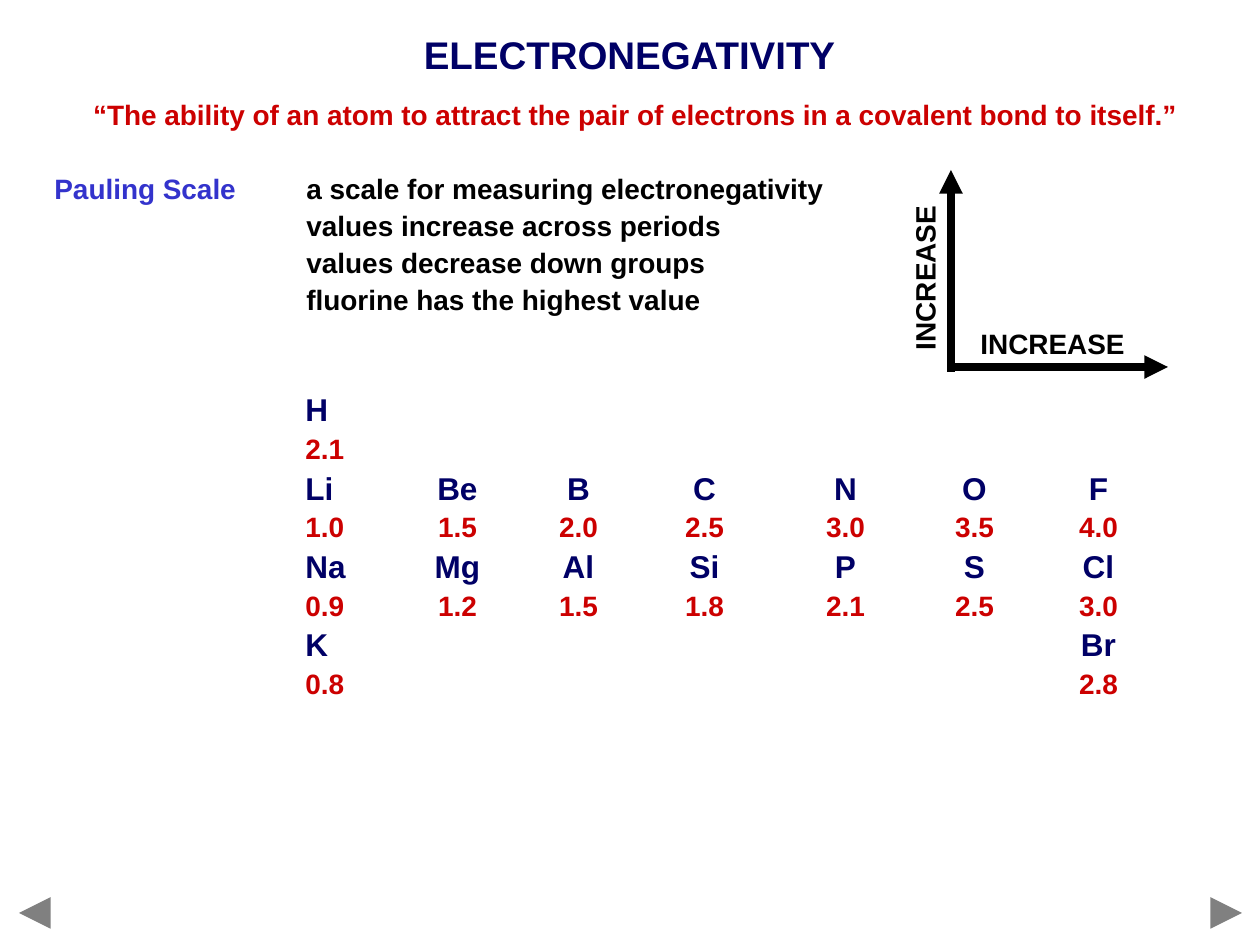
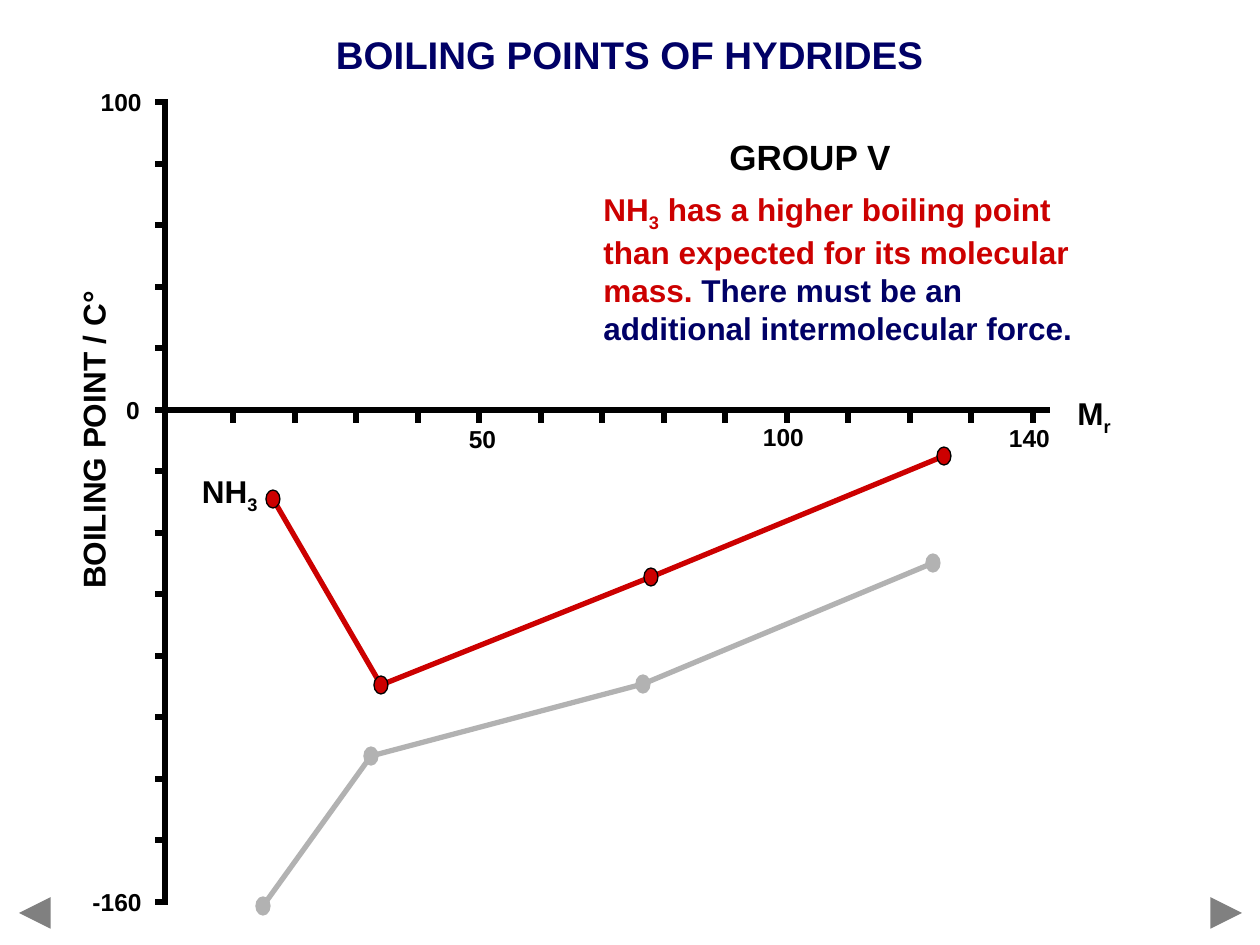
from itertools import pairwise

from lxml.etree import SubElement
from pptx import Presentation
from pptx.dml.color import RGBColor as Rgb
from pptx.enum.shapes import MSO_CONNECTOR as Connector, MSO_SHAPE as Preset
from pptx.enum.text import PP_ALIGN as Align
from pptx.oxml.ns import qn
from pptx.util import Pt

PX = 914400 / 126
FONT = "Arial"
COLOURS = {
    "navy": "000066",
    "red": "CC0000",
    "blue": "3333CC",
    "black": "000000",
    "grey": "808080",
    "silver": "B2B2B2",
}
PITCH = 800 / 13
TICKS = 14
AXIS_X, AXIS_Y, AXIS_TOP = 165, 410, 102
COLUMN_CENTRES = (152, 273, 399, 540, 669, 793)
ELEMENTS = [
    ("H", "2.1"),
    ("Li Be B C N O F", "1.0 1.5 2.0 2.5 3.0 3.5 4.0"),
    ("Na Mg Al Si P S Cl", "0.9 1.2 1.5 1.8 2.1 2.5 3.0"),
    ("K      Br", "0.8      2.8"),
]
GROUP_IV = [(263, 906), (371, 756), (643, 684), (933, 563)]
GROUP_V = [(273, 499), (381, 685), (651, 577), (944, 456)]


def emu(*lengths):
    """Turn px lengths into EMU."""
    return [round(length * PX) for length in lengths]


def rgb(name):
    """Look up a palette colour."""
    return Rgb.from_string(COLOURS[name])


def add_line(slide, start, end, colour, width, arrow=False):
    """Draw a straight line, with a triangle at its end if wanted."""
    line = slide.shapes.add_connector(Connector.STRAIGHT, *emu(*start, *end))
    line.line.color.rgb = rgb(colour)
    line.line.width = Pt(width)
    if arrow:
        SubElement(line.line._get_or_add_ln(), qn("a:tailEnd"), type="triangle")
    SubElement(line._element.spPr, qn("a:effectLst"))


def add_dot(slide, centre, fill, outline):
    """Draw a data point around its centre."""
    x, y = centre
    dot = slide.shapes.add_shape(Preset.OVAL, *emu(x - 7, y - 9, 14, 18))
    dot.shadow.inherit = False
    dot.fill.solid()
    dot.fill.fore_color.rgb = rgb(fill)
    dot.line.color.rgb = rgb(outline)
    dot.line.width = Pt(0.75)


def add_box(slide, place, rotation=0):
    """Add a wrapping text box and return its text frame."""
    box = slide.shapes.add_textbox(*emu(*place))
    box.rotation = rotation
    box.text_frame.word_wrap = True
    return box.text_frame


def add_run(paragraph, words, colour, size, subscript=False):
    """Append a bold run to a paragraph."""
    run = paragraph.add_run()
    run.text = words
    run.font.name = FONT
    run.font.size = Pt(size)
    run.font.bold = True
    run.font.color.rgb = rgb(colour)
    if subscript:
        run.font._element.set("baseline", "-25000")


def add_label(slide, place, words, size, colour="black", align=Align.LEFT,
              rotation=0, subscript=""):
    """Add a one-line label, optionally ending in a subscript."""
    paragraph = add_box(slide, place, rotation).paragraphs[0]
    paragraph.alignment = align
    add_run(paragraph, words, colour, size)
    if subscript:
        add_run(paragraph, subscript, colour, size, subscript=True)


def add_lines(slide, place, lines, tabs, tab_align, hanging=0):
    """Add paragraphs of runs that share tab stops and a margin."""
    frame = add_box(slide, place)
    for index, runs in enumerate(lines):
        paragraph = frame.paragraphs[0] if index == 0 else frame.add_paragraph()
        properties = paragraph._p.get_or_add_pPr()
        if hanging:
            margin = emu(hanging)[0]
            properties.set("marL", str(margin))
            properties.set("indent", str(0 if index else -margin))
        stops = SubElement(properties, qn("a:tabLst"))
        for position in emu(*tabs):
            SubElement(stops, qn("a:tab"), pos=str(position), algn=tab_align)
        paragraph.space_after = Pt(2)
        for run in runs:
            add_run(paragraph, *run)


def add_titled_slide(deck, title):
    """Add a blank slide with the shared title and page arrows."""
    slide = deck.slides.add_slide(deck.slide_layouts[6])
    for start, end in ((1216, 1242), (45, 19)):
        add_line(slide, (start, 913), (end, 913), "grey", 6, arrow=True)
    add_label(slide, (199, 25, 861, 59), title, 22, "navy", Align.CENTER)
    return slide


def add_series(slide, points, colour, outline):
    """Join the points of one group of hydrides and mark each."""
    for start, end in pairwise(points):
        add_line(slide, start, end, colour, 3)
    for point in points:
        add_dot(slide, point, colour, outline)


def add_axes(slide):
    """Draw both axes with evenly spaced ticks."""
    add_line(slide, (AXIS_X, AXIS_TOP), (AXIS_X, 904), "black", 3)
    add_line(slide, (1050, AXIS_Y), (168, AXIS_Y), "black", 3)
    for tick in range(TICKS):
        x, y = (round(first + tick * PITCH) for first in (233, AXIS_TOP))
        add_line(slide, (168, y), (155, y), "black", 3)
        add_line(slide, (x, 423), (x, AXIS_Y), "black", 3)


def build_electronegativity(deck):
    """Build the slide on the Pauling scale."""
    slide = add_titled_slide(deck, "ELECTRONEGATIVITY")
    add_label(slide, (42, 91, 1187, 47),
              "“The ability of an atom to attract the pair of electrons"
              " in a covalent bond to itself.”", 16, "red", Align.CENTER)
    facts = [
        [("Pauling Scale\t", "blue", 16),
         ("a scale for measuring electronegativity", "black", 16)],
        [("values increase across periods", "black", 16)],
        [("values decrease down groups", "black", 16)],
        [("fluorine has the highest value", "black", 16)],
    ]
    add_lines(slide, (42, 165, 860, 162), facts, [252], "l", hanging=252)
    rows = []
    for symbols, values in ELEMENTS:
        rows.append([("\t".join(symbols.split(" ")), "navy", 18)])
        rows.append([("\t".join(values.split(" ")), "red", 16)])
    add_lines(slide, (293, 384, 936, 328), rows, COLUMN_CENTRES, "ctr")
    add_line(slide, (950, 367), (1168, 367), "black", 4.5, arrow=True)
    add_line(slide, (951, 372), (951, 170), "black", 4.5, arrow=True)
    add_label(slide, (968, 320, 192, 47), "INCREASE", 16)
    add_label(slide, (829, 243, 192, 47), "INCREASE", 16, rotation=270)


def build_boiling_points(deck):
    """Build the graph of boiling points against molecular mass."""
    slide = add_titled_slide(deck, "BOILING POINTS OF HYDRIDES")
    add_series(slide, GROUP_IV, "silver", "silver")
    add_series(slide, GROUP_V, "red", "black")
    add_axes(slide)
    add_label(slide, (1065, 388, 73, 55), "M", 18, subscript="r")
    add_label(slide, (-88, 415, 362, 50), "BOILING POINT / C°", 18,
              align=Align.CENTER, rotation=270)
    for right, top, value in ((154, 81, "100"), (152, 389, "0"), (154, 881, "-160")):
        add_label(slide, (right - 83, top, 83, 43), value, 14, align=Align.RIGHT)
    for left, top, value in ((446, 418, "50"), (747, 416, "100"), (993, 417, "140")):
        add_label(slide, (left, top, 73, 43), value, 14, align=Align.CENTER)
    comment = add_box(slide, (591, 184, 524, 169)).paragraphs[0]
    add_run(comment, "NH", "red", 18)
    add_run(comment, "3", "red", 18, subscript=True)
    add_run(comment, " has a higher boiling point than expected for its"
            " molecular mass. ", "red", 18)
    add_run(comment, "There must be an additional intermolecular force.",
            "navy", 18)
    add_label(slide, (169, 466, 101, 55), "NH", 18, align=Align.RIGHT, subscript="3")
    add_label(slide, (717, 129, 222, 55), "GROUP V", 20)


def main():
    """Build and save the deck."""
    deck = Presentation()
    deck.slide_width, deck.slide_height = emu(1260, 945)
    build_electronegativity(deck)
    build_boiling_points(deck)
    deck.save("out.pptx")


if __name__ == "__main__":
    main()
